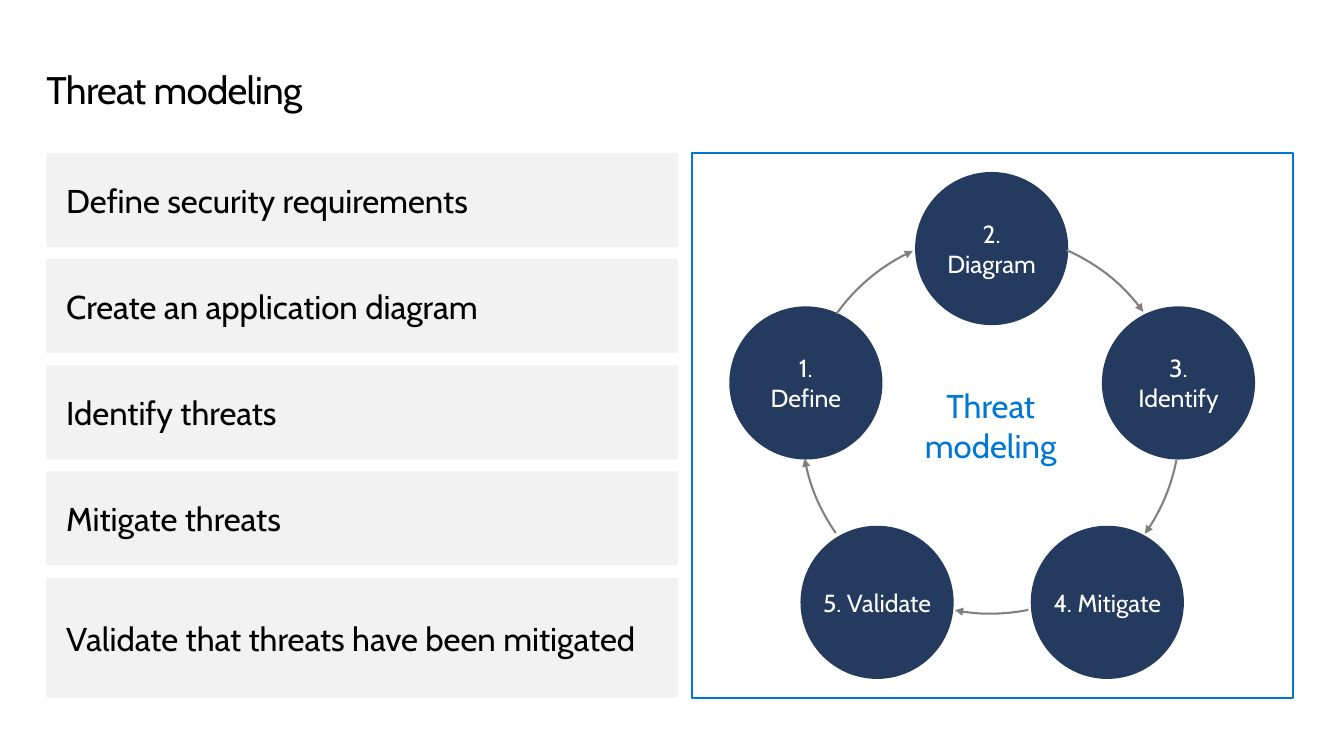
import math

from lxml import etree
from pptx import Presentation, util as u
from pptx.dml.color import RGBColor
from pptx.enum import shapes, text
from pptx.oxml.ns import qn

PX = 9144  # EMU per px, 100 px to the inch
FONT = "Cabin"
BLACK, WHITE, PALE, NAVY, BLUE, GREY = (
    "000000", "FFFFFF", "F2F2F2", "243A5E", "0078D3", "808080")

REQUIREMENTS = [
    "Define security requirements",
    "Create an application diagram",
    "Identify threats",
    "Mitigate threats",
    "Validate that threats have been mitigated",
]
# Each step with the start and end angle of the arrow that leaves it
STEPS = [
    ("1.\vDefine", 215.6, 245.78),
    ("2. Diagram", 293.57, 323.72),
    ("3.\vIdentify", 10.91, 35.48),
    ("4. Mitigate", 78.54, 100.83),
    ("5. Validate", 144.87, 169.45),
]


def color(hex_string):
    return RGBColor.from_string(hex_string)


def box(left, top, width, height):
    return [u.Emu(value * PX) for value in (left, top, width, height)]


def write(shape, words, size, hex_string, align=text.PP_ALIGN.LEFT,
          anchor=text.MSO_ANCHOR.MIDDLE, inset=(0, 0), wrap=True):
    frame = shape.text_frame
    frame.word_wrap = wrap
    frame.vertical_anchor = anchor
    frame.margin_left = frame.margin_right = u.Emu(inset[0] * PX)
    frame.margin_top = frame.margin_bottom = u.Emu(inset[1] * PX)
    frame.text = words
    for paragraph in frame.paragraphs:
        paragraph.alignment = align
        for run in paragraph.runs:
            run.font.name = FONT
            run.font.size = u.Pt(size)
            run.font.color.rgb = color(hex_string)


def add_shape(slide, kind, bounds, fill=None, line=None):
    shape = slide.shapes.add_shape(kind, *box(*bounds))
    shape.shadow.inherit = False
    if fill:
        shape.fill.solid()
        shape.fill.fore_color.rgb = color(fill)
    else:
        shape.fill.background()
    if line:
        shape.line.color.rgb = color(line)
        shape.line.width = u.Pt(1.5)
    else:
        shape.line.fill.background()
    return shape


def add_title(slide, words):
    title = slide.shapes.add_textbox(*box(47, 69, 1265, 45))
    write(title, words, 28, BLACK, anchor=text.MSO_ANCHOR.TOP)
    paragraph = title.text_frame.paragraphs[0]
    paragraph.line_spacing = u.Pt(32)
    paragraph.runs[0].font._element.set("spc", "-50")


def add_requirement(slide, index, words):
    height = 121 if index == len(REQUIREMENTS) - 1 else 95
    bounds = (47, 155 + index * 215 // 2, 639, height)
    card = add_shape(slide, shapes.MSO_SHAPE.RECTANGLE, bounds, fill=PALE)
    write(card, words, 24, BLACK, inset=(20, 15))


def add_step(slide, index, words):
    # Five circles on a ring, the second one at the top
    angle = math.radians(-162 + 72 * index)
    left = round(1004 + 198 * math.cos(angle) - 77.5)
    top = round(449 + 198 * math.sin(angle) - 77.5)
    circle = add_shape(slide, shapes.MSO_SHAPE.OVAL, (left, top, 155, 155), fill=NAVY)
    write(circle, words, 18, WHITE, align=text.PP_ALIGN.CENTER)


def add_arc_arrow(slide, start, end):
    arc = add_shape(slide, shapes.MSO_SHAPE.ARC, (811, 237, 383, 384), line=GREY)
    # Adjustments count 60000 to the degree, in units of 100000
    arc.adjustments[0] = start * 0.6
    arc.adjustments[1] = end * 0.6
    line = arc._element.spPr.find(qn("a:ln"))
    etree.SubElement(line, qn("a:tailEnd"), type="triangle")


def main():
    presentation = Presentation()
    presentation.slide_width, presentation.slide_height = box(0, 0, 1360, 765)[2:]
    slide = presentation.slides.add_slide(presentation.slide_layouts[6])

    # Title and list of requirements
    add_title(slide, "Threat modeling")
    for index, words in enumerate(REQUIREMENTS):
        add_requirement(slide, index, words)

    # Cycle panel with its centre label
    add_shape(slide, shapes.MSO_SHAPE.RECTANGLE, (700, 155, 608, 551), line=BLUE)
    label = slide.shapes.add_textbox(*box(929, 390, 147, 81))
    write(label, "Threat\nmodeling", 24, BLUE, align=text.PP_ALIGN.CENTER, wrap=False)

    # Steps and the arrows between them
    for index, (words, start, end) in enumerate(STEPS):
        add_step(slide, index, words)
        add_arc_arrow(slide, start, end)

    presentation.save("out.pptx")


if __name__ == "__main__":
    main()
